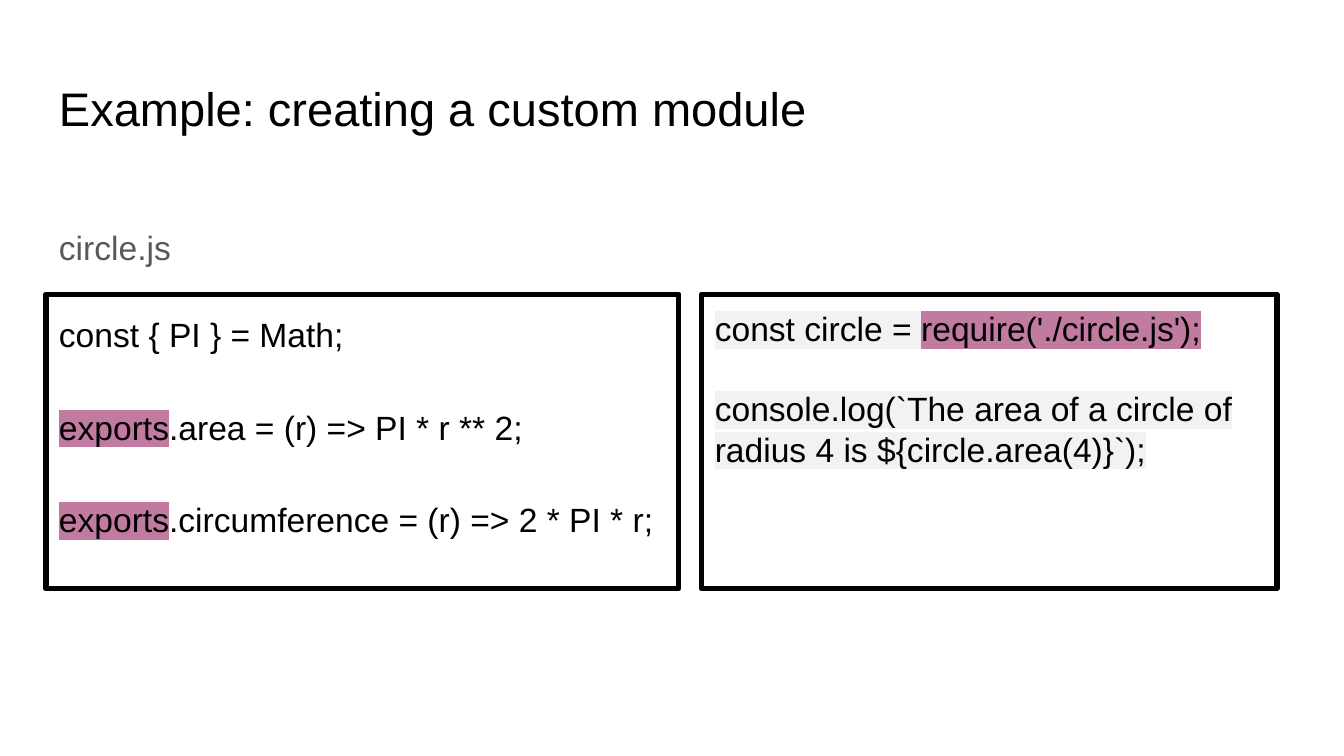
from lxml import etree
from pptx import Presentation
from pptx.dml.color import RGBColor
from pptx.enum.shapes import MSO_SHAPE
from pptx.enum.text import MSO_ANCHOR, PP_ALIGN
from pptx.oxml.ns import qn
from pptx.util import Inches, Pt

RECTANGLE = MSO_SHAPE.RECTANGLE
TOP = MSO_ANCHOR.TOP
LEFT = PP_ALIGN.LEFT

BLACK, GREY = "000000", "595959"
PLUM, PALE = "C27BA0", "F2F2F2"
MARGIN = 0.34
CODE_TOP, CODE_HEIGHT = 2.19, 2.19

# Content: each line of code is a list of (text, highlight) runs
TITLE = "Example: creating a custom module"
FILE_NAME = "circle.js"
CODE_PANELS = [
    {
        "left": MARGIN, "width": 4.71, "line_spacing": 1.15, "gap": 24.8,
        "lines": [
            [("const { PI } = Math;", None)],
            [("exports", PLUM), (".area = (r) => PI * r ** 2;", None)],
            [("exports", PLUM), (".circumference = (r) => 2 * PI * r;", None)],
        ],
    },
    {
        "left": 5.22, "width": 4.28, "line_spacing": 1, "gap": 21.5,
        "lines": [
            [("const circle = ", PALE), ("require('./circle.js');", PLUM)],
            [("console.log(`The area of a circle of radius 4 is ${circle.area(4)}`);", PALE)],
        ],
    },
]


def rgb(color):
    return RGBColor.from_string(color)


def highlight_run(run, color):
    # The highlight element must follow the text fill
    highlight = etree.Element(qn("a:highlight"))
    etree.SubElement(highlight, qn("a:srgbClr"), val=color)
    run.font._element.find(qn("a:solidFill")).addnext(highlight)


def write_text(shape, lines, size=18, color=BLACK, line_spacing=1, gap=0):
    frame = shape.text_frame
    frame.word_wrap = True
    frame.vertical_anchor = TOP
    frame.margin_left = frame.margin_right = Inches(0.1)
    frame.margin_top = frame.margin_bottom = Inches(0.1)
    for index, line in enumerate(lines):
        paragraph = frame.add_paragraph() if index else frame.paragraphs[0]
        paragraph.alignment = LEFT
        paragraph.line_spacing = line_spacing
        if index:
            paragraph.space_before = Pt(gap)
        for text, highlight in line:
            run = paragraph.add_run()
            run.text = text
            run.font.size = Pt(size)
            run.font.name = "Arial"
            run.font.color.rgb = rgb(color)
            if highlight:
                highlight_run(run, highlight)


# Widescreen slide, 16:9
presentation = Presentation()
presentation.slide_width = Inches(10)
presentation.slide_height = Inches(10) * 9 // 16
slide = presentation.slides.add_slide(presentation.slide_layouts[6])

# Title and file name
title = slide.shapes.add_textbox(Inches(MARGIN), Inches(0.49), Inches(9.32), Inches(0.63))
write_text(title, [[(TITLE, None)]], size=25.2)
file_label = slide.shapes.add_textbox(Inches(MARGIN), Inches(1.59), Inches(2.65), Inches(0.51))
write_text(file_label, [[(FILE_NAME, None)]], color=GREY)

# Outlined code panels
for panel in CODE_PANELS:
    code_box = slide.shapes.add_shape(
        RECTANGLE, Inches(panel["left"]), Inches(CODE_TOP),
        Inches(panel["width"]), Inches(CODE_HEIGHT))
    code_box.shadow.inherit = False
    code_box.fill.background()
    code_box.line.color.rgb = rgb(BLACK)
    code_box.line.width = Pt(3)
    outline = code_box._element.spPr.find(qn("a:ln"))
    etree.SubElement(outline, qn("a:round"))
    write_text(code_box, panel["lines"],
               line_spacing=panel["line_spacing"], gap=panel["gap"])

presentation.save("out.pptx")
